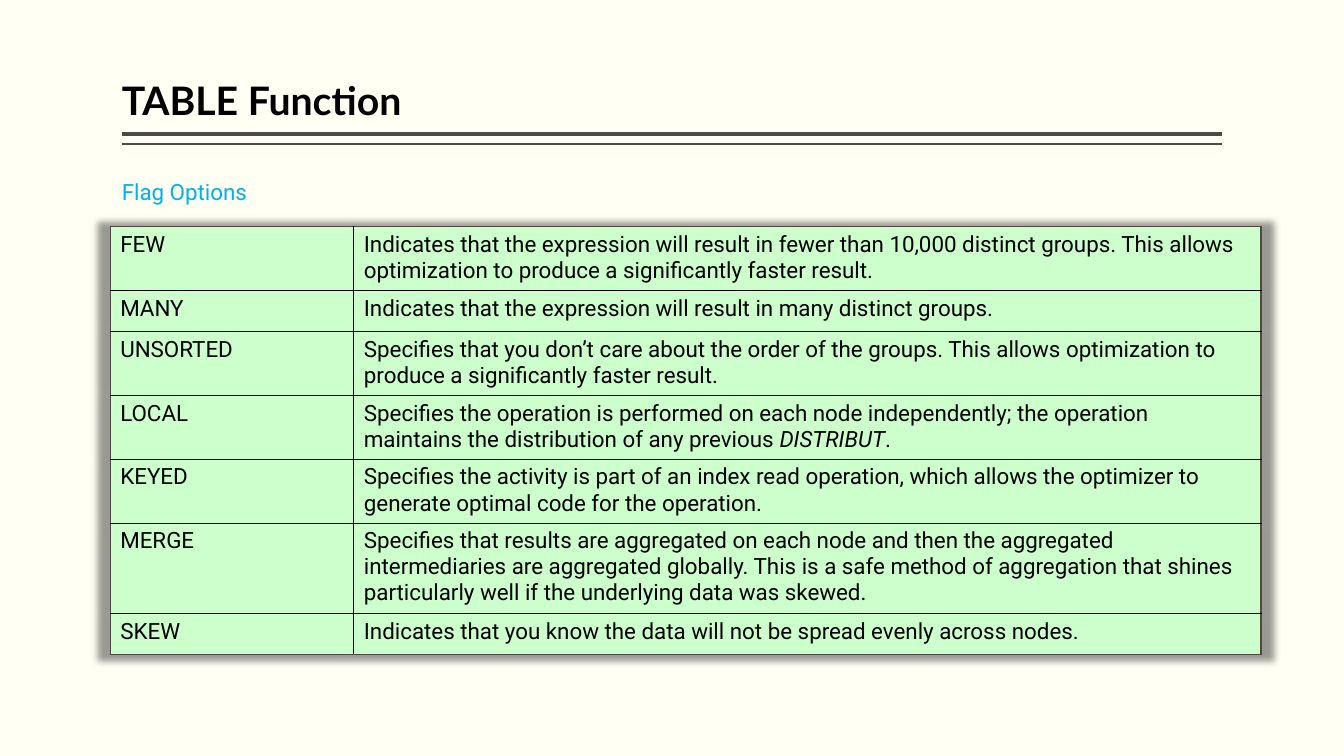
from lxml.etree import SubElement
from pptx import Presentation
from pptx.dml.color import RGBColor
from pptx.enum.shapes import MSO_CONNECTOR
from pptx.enum.text import MSO_ANCHOR
from pptx.oxml import parse_xml
from pptx.oxml.ns import nsdecls, qn
from pptx.util import Pt

PX = 9525  # EMU per px, 96 px to the inch
COLORS = {
    "background": "FFFFF3",
    "rule": "514843",
    "text": "000000",
    "accent": "00B0F0",
    "cell": "CCFFCC",
}
LEFT, WIDTH = 116, 1048
FLAGS = [
    ("FEW", ["Indicates that the expression will result in fewer than 10,000 distinct groups. "
             "This allows optimization to produce a significantly faster result."]),
    ("MANY", ["Indicates that the expression will result in many distinct groups."]),
    ("UNSORTED", ["Specifies that you don’t care about the order of the groups. "
                  "This allows optimization to produce a significantly faster result."]),
    ("LOCAL", ["Specifies the operation is performed on each node independently; "
               "the operation maintains the distribution of any previous ", "DISTRIBUT", "."]),
    ("KEYED", ["Specifies the activity is part of an index read operation, "
               "which allows the optimizer to generate optimal code for the operation."]),
    ("MERGE", ["Specifies that results are aggregated on each node and then the aggregated "
               "intermediaries are aggregated globally. This is a safe method of aggregation "
               "that shines particularly well if the underlying data was skewed."]),
    ("SKEW", ["Indicates that you know the data will not be spread evenly across nodes."]),
]


def style_run(run, font, size, color, bold=False, italic=False):
    run.font.name = font
    run.font.size = Pt(size)
    run.font.bold = bold
    run.font.italic = italic
    run.font.color.rgb = RGBColor.from_string(COLORS[color])


def add_text(text, top, height, anchor, space_before, *style):
    box = slide.shapes.add_textbox(LEFT * PX, top * PX, WIDTH * PX, height * PX)
    frame = box.text_frame
    frame.word_wrap = True
    frame.vertical_anchor = anchor
    frame.margin_left = frame.margin_right = 0
    frame.text = text
    paragraph = frame.paragraphs[0]
    paragraph.line_spacing = 0.9
    paragraph.space_before = Pt(space_before)
    style_run(paragraph.runs[0], *style)


presentation = Presentation()
presentation.slide_width = 1280 * PX
presentation.slide_height = 720 * PX
slide = presentation.slides.add_slide(presentation.slide_layouts[6])
slide.background.fill.solid()
slide.background.fill.fore_color.rgb = RGBColor.from_string(COLORS["background"])

# Double rule under the title
for y, weight in ((128, 3), (137, 1)):
    rule = slide.shapes.add_connector(
        MSO_CONNECTOR.STRAIGHT, (LEFT + WIDTH) * PX, y * PX, LEFT * PX, y * PX)
    rule.line.color.rgb = RGBColor.from_string(COLORS["rule"])
    rule.line.width = Pt(weight)
    SubElement(rule._element.spPr, qn("a:effectLst"))

# Title and subtitle
add_text("TABLE Function", 8, 115, MSO_ANCHOR.BOTTOM, 0, "Lato", 28, "text", True)
add_text("Flag Options", 168, 480, MSO_ANCHOR.TOP, 18, "Roboto", 16, "accent")

# Table with a soft shadow all round
COLUMN_WIDTHS, ROW_HEIGHT = (232, 864), 39
table = slide.shapes.add_table(
    len(FLAGS), 2, 105 * PX, 216 * PX,
    sum(COLUMN_WIDTHS) * PX, len(FLAGS) * ROW_HEIGHT * PX).table
table.first_row = table.horz_banding = False
table._tbl.tblPr.insert(0, parse_xml(
    f'<a:effectLst {nsdecls("a")}>'
    '<a:outerShdw blurRad="63500" sx="102000" sy="102000" algn="ctr" rotWithShape="0">'
    '<a:prstClr val="black"><a:alpha val="40000"/></a:prstClr>'
    '</a:outerShdw></a:effectLst>'))
for column, width in zip(table.columns, COLUMN_WIDTHS):
    column.width = width * PX

# Cells: text, borders (outer edges in the rule colour), fill
for row, (flag, description) in enumerate(FLAGS):
    for col, pieces in enumerate(([flag], description)):
        cell = table.cell(row, col)
        paragraph = cell.text_frame.paragraphs[0]
        for index, piece in enumerate(pieces):
            run = paragraph.add_run()
            run.text = piece
            style_run(run, "Roboto", 16, "text", italic=index == 1)
        outer_edges = {"L": col == 0, "R": col == 1,
                       "T": row == 0, "B": row == len(FLAGS) - 1}
        properties = cell._tc.get_or_add_tcPr()
        for side, is_outer in outer_edges.items():
            color = COLORS["rule" if is_outer else "text"]
            properties.append(parse_xml(
                f'<a:ln{side} {nsdecls("a")} w="12700"><a:solidFill>'
                f'<a:srgbClr val="{color}"/></a:solidFill></a:ln{side}>'))
        cell.fill.solid()
        cell.fill.fore_color.rgb = RGBColor.from_string(COLORS["cell"])

presentation.save("out.pptx")
